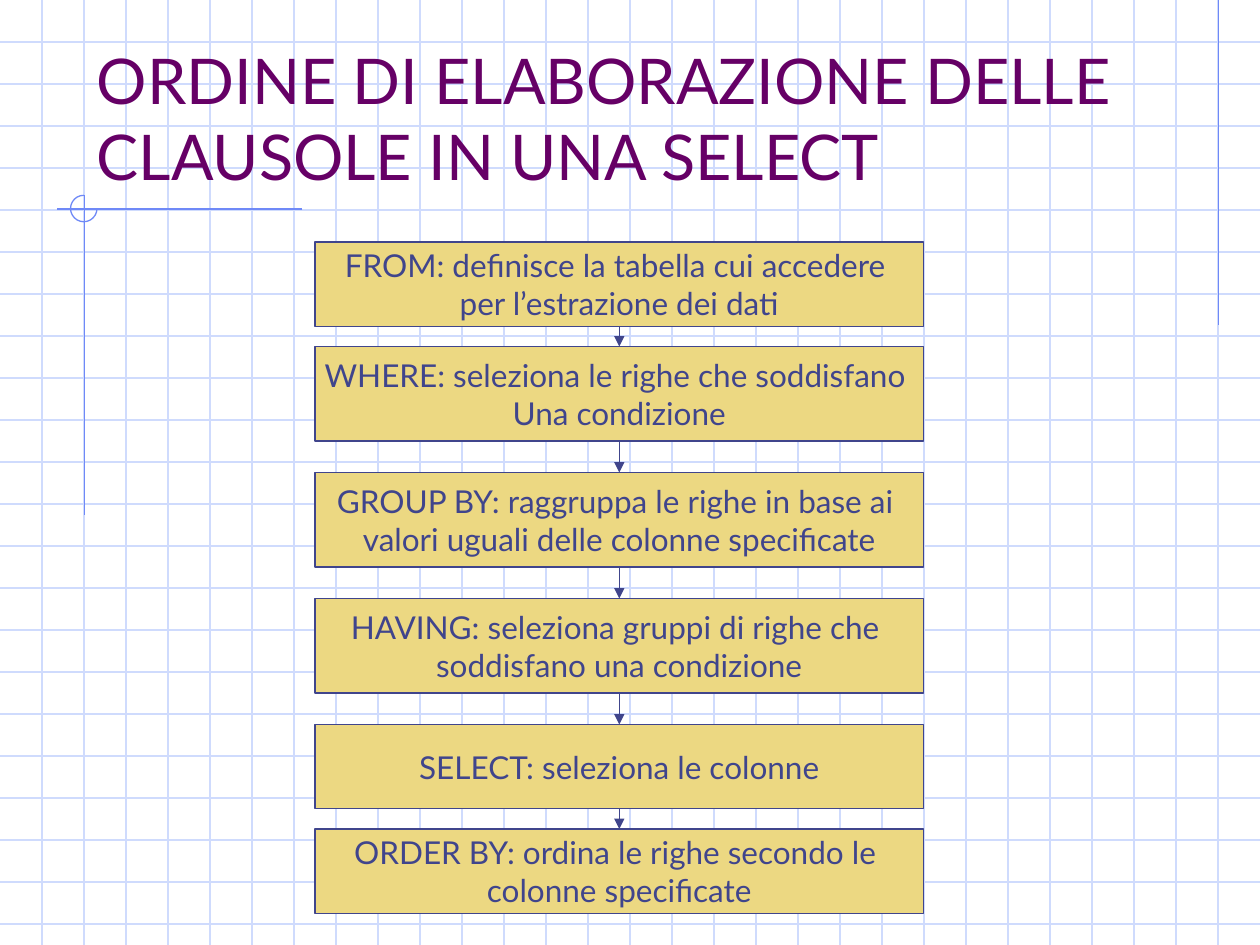
import pptx
import pptx.util
import pptx.dml.color
import pptx.enum.shapes
import pptx.enum.text
import pptx.oxml
import pptx.oxml.ns
from pptx.util import Inches

# Content
TITLE = "ORDINE DI ELABORAZIONE DELLE CLAUSOLE IN UNA SELECT"
CLAUSES = [  # top, height, lines
    (1.92, 0.67, ["FROM: definisce la tabella cui accedere ", "per l’estrazione dei dati"]),
    (2.75, 0.75, ["WHERE: seleziona le righe che soddisfano ", "Una condizione"]),
    (3.75, 0.75, ["GROUP BY: raggruppa le righe in base ai ", "valori uguali delle colonne specificate"]),
    (4.75, 0.75, ["HAVING: seleziona gruppi di righe che ", "soddisfano una condizione"]),
    (5.75, 0.67, ["SELECT: seleziona le colonne"]),
    (6.58, 0.67, ["ORDER BY: ordina le righe secondo le ", "colonne specificate"]),
]
ACCENT_LINES = [  # x1, y1, x2, y2
    (9.67, 0, 9.67, 2.58),
    (2.4, 1.66, 0.45, 1.66),
    (0.67, 1.55, 0.67, 4.09),
]

THEME = {
    "font": "Lato", "title_size": 36, "box_size": 18, "line_width": 0.75,
    "grid": "CFDBFD", "accent": "6F89F7", "title": "660066",
    "box": "ECD882", "ink": "40458C",
}
WIDTH, HEIGHT = 10, 7.5
GRID_STEP = 1 / 3
BOX_LEFT, BOX_WIDTH = 2.5, 4.83


def color(name):
    return pptx.dml.color.RGBColor.from_string(THEME[name])


def style_line(line, color_name):
    line.color.rgb = color(color_name)
    line.width = pptx.util.Pt(THEME["line_width"])


def style_text(paragraph, size_name, color_name):
    paragraph.font.name = THEME["font"]
    paragraph.font.size = pptx.util.Pt(THEME[size_name])
    paragraph.font.color.rgb = color(color_name)


def add_line(slide, x1, y1, x2, y2, color_name):
    connector = slide.shapes.add_connector(
        pptx.enum.shapes.MSO_CONNECTOR.STRAIGHT,
        Inches(x1), Inches(y1), Inches(x2), Inches(y2))
    style_line(connector.line, color_name)
    pptx.oxml.ns.qn("a:effectLst")
    properties = connector._element.spPr
    properties.append(properties.makeelement(pptx.oxml.ns.qn("a:effectLst"), {}))
    return connector


def add_background(slide):
    for row in range(1, int(HEIGHT / GRID_STEP) + 1):
        add_line(slide, 0, row * GRID_STEP, WIDTH, row * GRID_STEP, "grid")
    for column in range(1, round(WIDTH / GRID_STEP)):
        add_line(slide, column * GRID_STEP, 0, column * GRID_STEP, HEIGHT, "grid")
    for ends in ACCENT_LINES:
        add_line(slide, *ends, "accent")
    # Three-quarter circle, clockwise from the right to the top
    arc = slide.shapes.add_shape(
        pptx.enum.shapes.MSO_SHAPE.ARC,
        Inches(0.56), Inches(1.55), Inches(0.21), Inches(0.21))
    arc.adjustments[0] = 0
    arc.adjustments[1] = 162  # 270 degrees
    arc.fill.background()
    arc.shadow.inherit = False
    style_line(arc.line, "accent")


def add_title(slide):
    title = slide.shapes.add_textbox(Inches(0.67), Inches(0.33), Inches(8.5), Inches(1.25))
    frame = title.text_frame
    frame.word_wrap = True
    frame.vertical_anchor = pptx.enum.text.MSO_ANCHOR.BOTTOM
    frame.text = TITLE
    style_text(frame.paragraphs[0], "title_size", "title")


def add_clause(slide, top, height, lines):
    box = slide.shapes.add_shape(
        pptx.enum.shapes.MSO_SHAPE.RECTANGLE,
        Inches(BOX_LEFT), Inches(top), Inches(BOX_WIDTH), Inches(height))
    box.shadow.inherit = False
    box.fill.solid()
    box.fill.fore_color.rgb = color("box")
    style_line(box.line, "ink")
    frame = box.text_frame
    frame.word_wrap = False
    frame.vertical_anchor = pptx.enum.text.MSO_ANCHOR.MIDDLE
    frame.text = "\n".join(lines)
    for paragraph in frame.paragraphs:
        paragraph.alignment = pptx.enum.text.PP_ALIGN.CENTER
        style_text(paragraph, "box_size", "ink")
    return box


def add_arrow(slide, upper, lower):
    arrow = add_line(slide, 0, 0, 0, 0, "ink")
    arrow.begin_connect(upper, 2)
    arrow.end_connect(lower, 0)
    line = arrow.line._get_or_add_ln()
    line.append(line.makeelement(pptx.oxml.ns.qn("a:tailEnd"), {"type": "triangle"}))


def main():
    presentation = pptx.Presentation()
    presentation.slide_width = Inches(WIDTH)
    presentation.slide_height = Inches(HEIGHT)
    slide = presentation.slides.add_slide(presentation.slide_layouts[6])
    add_background(slide)
    add_title(slide)
    # Clause boxes, then an arrow from each to the next
    boxes = [add_clause(slide, *clause) for clause in CLAUSES]
    for upper, lower in zip(boxes, boxes[1:]):
        add_arrow(slide, upper, lower)
    presentation.save("out.pptx")


if __name__ == "__main__":
    main()
